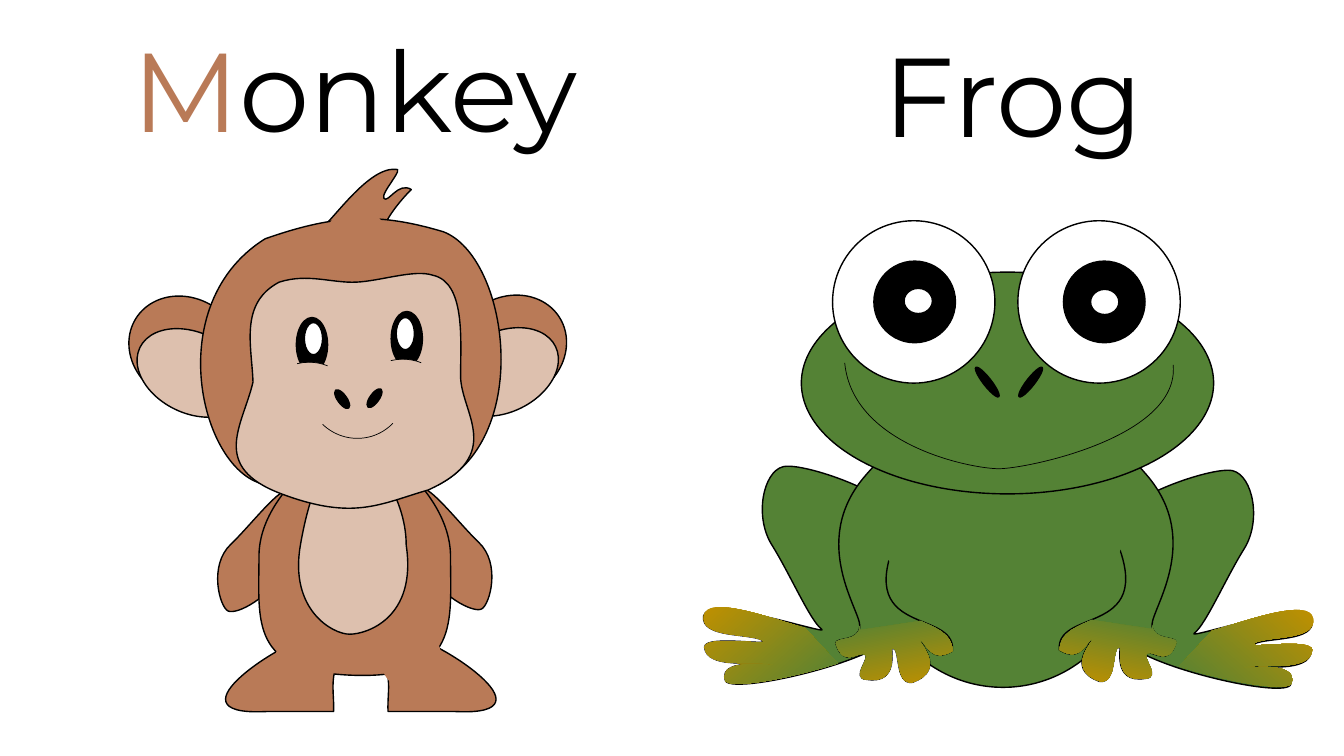
from dataclasses import dataclass

from lxml.etree import SubElement
from pptx import Presentation
from pptx.dml.color import RGBColor
from pptx.enum.shapes import MSO_SHAPE
from pptx.enum.text import MSO_ANCHOR, MSO_AUTO_SIZE, PP_ALIGN
from pptx.oxml import parse_xml
from pptx.oxml.ns import nsdecls, qn
from pptx.util import Pt

BLACK, WHITE = "000000", "FFFFFF"
FUR, SKIN = "B97A57", "DDC0AE"
GREEN, GOLD = "548235", "BF9000"
TAGS = {1: "a:lnTo", 3: "a:cubicBezTo"}


def rgb(value):
    """Turn a hex string into a colour."""
    return RGBColor.from_string(value)


def paint(shape, fill, line, angle=0):
    """Set a plain or two-colour fill and the outline width."""
    shape.shadow.inherit = False
    if isinstance(fill, tuple):
        shape.fill.gradient()
        shape.fill.gradient_angle = angle
        for stop, color, place in zip(shape.fill.gradient_stops, fill, (0, 1)):
            stop.color.rgb, stop.position = rgb(color), place
    elif fill:
        shape.fill.solid()
        shape.fill.fore_color.rgb = rgb(fill)
    else:
        shape.fill.background()
    if line:
        shape.line.color.rgb = rgb(BLACK)
        shape.line.width = Pt(line)
    else:
        shape.line.fill.background()


def bezier(a, b, c, d, steps=24):
    """Sample points along a cubic curve."""
    for t in (i / steps for i in range(1, steps + 1)):
        u = 1 - t
        yield tuple(u**3 * p + 3 * u * u * t * q + 3 * u * t * t * r + t**3 * v
                    for p, q, r, v in zip(a, b, c, d))


def expand(steps):
    """Pair up numbers; four numbers make a curve that leaves its start smoothly."""
    segments = []
    for step in steps:
        seg = list(zip(step[::2], step[1::2]))
        if len(seg) == 2:
            (hx, hy), (x, y) = segments[-1][-2:]
            seg.insert(0, (2 * x - hx, 2 * y - hy))
        segments.append(seg)
    return segments


@dataclass
class Panel:
    """A group of drawn parts, measured in points from its corner."""
    shapes: object
    left: float
    top: float

    def preset(self, kind, box, fill, line=1, rot=0):
        """Add one preset shape."""
        x, y, w, h = box
        shape = self.shapes.add_shape(kind, Pt(self.left + x), Pt(self.top + y), Pt(w), Pt(h))
        shape.rotation = rot
        paint(shape, fill, line)
        return shape

    def oval(self, box, fill, line=1, rot=0, axis=None, drop=0):
        """Add an ellipse and, given an axis, its twin moved down by drop."""
        self.preset(MSO_SHAPE.OVAL, box, fill, line, rot)
        if axis:
            x, y, w, h = box
            self.oval((2 * axis - x - w, y + drop, w, h), fill, line, -rot % 360)

    def outline(self, steps, fill, line=1, angle=0, closed=True, axis=None, drop=0):
        """Add a curved outline and, given an axis, its twin moved down by drop."""
        segments = expand(steps)
        self.trace(segments, fill, line, angle, closed)
        if axis:
            twin = [[(2 * axis - x, y + drop) for x, y in seg] for seg in segments]
            self.trace(twin, fill, line, (180 - angle) % 360, closed)

    def trace(self, segments, fill, line, angle, closed):
        """Build a freeform around the curves, then store them as true curves."""
        (start,), *edges = [[(Pt(self.left + x), Pt(self.top + y)) for x, y in seg]
                            for seg in segments]
        flat = [start]
        for edge in edges:
            flat += list(bezier(flat[-1], *edge)) if len(edge) == 3 else edge
        builder = self.shapes.build_freeform(*start, scale=1.0)
        builder.add_line_segments(flat[1:], close=closed)
        shape = builder.convert_to_shape()
        path = shape._element.find(".//" + qn("a:path"))
        for child in list(path):
            path.remove(child)
        for tag, points in [("a:moveTo", [start])] + [(TAGS[len(e)], e) for e in edges]:
            step = SubElement(path, qn(tag))
            for x, y in points:
                SubElement(step, qn("a:pt"), x=str(x - shape.left), y=str(y - shape.top))
        if closed:
            SubElement(path, qn("a:close"))
        paint(shape, fill, line, angle)


def name_animal(sp, left, top, width, height, runs):
    """Place a placeholder and write the animal's name in it."""
    sp.left, sp.top, sp.width, sp.height = Pt(left), Pt(top), Pt(width), Pt(height)
    tf = sp.text_frame
    tf.word_wrap, tf.auto_size = True, MSO_AUTO_SIZE.NONE
    tf.vertical_anchor = MSO_ANCHOR.TOP
    p = tf.paragraphs[0]
    p.alignment, p.space_before, p.line_spacing = PP_ALIGN.LEFT, Pt(0), 1.0
    p.font.name, p.font.size = "Montserrat", Pt(80)
    for text, color in runs:
        r = p.add_run()
        r.text = text
        r.font.color.rgb = rgb(color)
        r._r.get_or_add_rPr().insert(0, parse_xml(
            f'<a:ln {nsdecls("a")} w="9525"><a:solidFill><a:srgbClr val="{BLACK}"/>'
            '</a:solidFill></a:ln>'))


def draw_monkey_body(m):
    """Draw the arms, legs, torso and belly."""
    arm = [(342, 387.4), (327, 373, 307, 346, 299.5, 348.5), (288, 379, 301, 402.5),
           (338, 438, 344, 435), (358, 402.5, 342, 387.4)]
    leg = [(294.5, 456), (270.7, 464.4), (281, 484, 276.5, 494, 277.2, 508.3),
           (325.4, 508.3), (401, 512, 306, 453.6, 294.5, 456)]
    torso = [(185, 397.4), (185, 350.6, 243.4, 314, 253.4, 312.5), (321.8, 350.6, 321.8, 397.4),
             (329, 484.6, 253.4, 482.4), (185, 444.2, 185, 397.4)]
    belly = [(214.6, 389.5), (222.5, 343.4, 237, 319, 249.8, 319), (290.2, 352.8, 290.2, 389.5),
             (298, 441.4, 262, 453, 249.8, 453), (206.6, 435.6, 214.6, 389.5)]
    m.outline(arm, FUR, axis=253.45, drop=1.4)
    m.outline(leg, FUR, axis=257.75)
    m.outline(torso, FUR)
    m.outline(belly, SKIN)


def draw_monkey_head(m):
    """Draw the hair, ears, head and face."""
    hair = [(226.8, 165), (233.3, 164.2, 261.4, 119.5, 282.2, 121),
            (290.2, 118.8, 271.4, 138.2, 274.3, 141.8), (284.4, 129.6, 293.8, 135.4),
            (288.7, 140.4, 275.8, 154.8, 273, 165.6), (283.7, 199.4), (226.8, 199.4)]
    head = [(189.4, 170.6), (240.5, 152.6, 271.4, 152, 316.8, 165.6),
            (363, 183.6, 381, 311, 313.2, 346.3), (274.3, 357, 255, 368, 198, 346.3),
            (147.6, 352.8, 109.4, 220.3, 189.4, 170.6)]
    face = [(199.4, 201.6), (219.6, 195, 237, 202.3, 254.2, 201.6), (296, 192.2, 309, 196.6),
            (332.6, 201.6, 329, 242.6, 329, 268.6), (361.4, 324.7, 306, 350),
            (271.4, 360, 252.7, 372.2, 201, 352.8), (173.5, 303.8, 180.7, 273),
            (180, 247.7, 170.6, 216.7, 199.4, 201.6)]
    m.outline(hair, FUR)
    m.oval((90.7, 213, 83.5, 73.4), FUR, rot=32.2, axis=248.4, drop=-0.7)
    m.oval((95.8, 237.6, 83.5, 57.6), SKIN, rot=25.7, axis=248.4, drop=-0.7)
    m.outline(head, FUR)
    m.outline(face, SKIN)
    m.oval((211.7, 226.8, 22.3, 38.9), BLACK, axis=256.7, drop=-4.3)
    m.oval((217.4, 230.4, 13, 23), WHITE, axis=256.7, drop=-3.6)
    m.oval((241.2, 277.2, 6.5, 15.8), BLACK, rot=324.1, axis=256, drop=-0.7)


def draw_monkey(s, sp, left, top):
    """Draw the monkey and its name in the panel at left, top."""
    name_animal(sp, left + 87.1, top + 11, 357.8, 104.4, [("M", FUR), ("onkey", BLACK)])
    m = Panel(s.shapes.add_group_shape().shapes, left, top)
    draw_monkey_body(m)
    draw_monkey_head(m)
    hair_root, hip = (231, 148, 45, 50), (196.6, 446.4, 44, 50)
    m.oval(hair_root, FUR, line=0, rot=21.3)
    m.oval(hip, FUR, line=0, rot=21.3, axis=256, drop=-1.4)
    for x, y in ((252.7, 256.3), (185.8, 258.5)):
        lid = m.preset(MSO_SHAPE.ARC, (x, y, 70.6, 71.3), SKIN, line=0.5, rot=299.3)
        lid.adjustments[0], lid.adjustments[1] = 189.758, 211.298
    smile = (219.6, 242, 70.6, 71.3)
    m.preset(MSO_SHAPE.ARC, smile, None, line=0.5, rot=133.9)


def draw_frog_body(f):
    """Draw the limbs around the belly; toes and fingers shape limb and overlay alike."""
    toes = [(31, 467.3, 81.6, 477.4, 71.5, 474.5), (24.7, 478.8, 23.3, 462.2),
            (24, 453, 73.7, 462.2, 64.3, 457.2), (20.4, 455.8, 22.6, 440)]
    leg = [(71.5, 389.5), (58.6, 369.4, 65, 337, 79.4, 333.4), (161.5, 354.2, 155.8, 367.2),
           (163.7, 435, 157.2, 453), (47, 496, 38.4, 486.7),
           *toes, (114.7, 455, 106.8, 449.3), (84.5, 410.4, 71.5, 389.5)]
    foot = [(118.3, 473.8), (84.5, 484.6, 44.2, 492, 38.4, 486.7), *toes, (72, 442, 95, 448.6)]
    fingers = [(184.6, 474.5, 181, 458, 177.4, 457.2), (198.2, 478, 171.6, 487.4),
               (158.6, 489, 163.7, 461.5, 157.2, 463), (155.8, 462.2, 163, 489, 139.2, 485.3),
               (127, 484.6, 142.8, 469.4, 137.8, 467.3), (122.6, 477.4, 117, 459.4),
               (117, 455, 134.2, 458.6, 134.2, 447)]
    arm = [(136.3, 342), (174.5, 296, 205.4, 297.4, 210.5, 301.7), (171, 341.3, 168.7, 368),
           (119, 459.4, 203.3, 432, 200.4, 465), *fingers, (99, 388, 136.3, 342)]
    paw = [(177.4, 443.5), (189, 448.6, 200.4, 453, 200.4, 465), *fingers, (134.2, 450)]
    f.outline(leg, GREEN, axis=240, drop=2.9)
    f.oval((143.5, 303.8, 185.8, 187.2), GREEN)
    f.outline(arm, GREEN, axis=238.55, drop=-0.7)
    f.outline(foot, (GOLD, GREEN), line=0, angle=311, axis=240.35, drop=2)
    f.outline(paw, (GREEN, GOLD), line=0, angle=281, axis=238.7, drop=-0.7)
    shoulder = (142.8, 333.4, 46.8, 76.3)
    f.oval(shoulder, GREEN, line=0, rot=347.7, axis=233.5, drop=5.8)


def draw_frog_head(f):
    """Draw the head with eyes, nostrils and mouth."""
    head, nostril = (92.4, 194.4, 294.5, 158.4), (211.9, 270, 26.6, 5.8)
    eye, pupil, glint = (114.7, 157.7, 116, 116), (144.2, 186.5, 58.3, 58.3), (165.8, 206, 20.2, 18)
    mouth = [(358, 260.6), (363, 312.5, 253, 334.8, 233.5, 334.8), (129, 318.2, 123.4, 259.2)]
    f.oval(head, GREEN)
    f.oval(eye, WHITE, axis=238.9)
    f.oval(nostril, BLACK, rot=52, axis=240.7)
    f.outline(mouth, None, line=0.5, closed=False)
    f.oval(pupil, BLACK, axis=241.05)
    f.oval(glint, WHITE, axis=242.5, drop=0.7)


def draw_frog(s, sp, left, top):
    """Draw the frog and its name in the panel at left, top."""
    name_animal(sp, left + 143.8, top + 14.4, 226.8, 92.9, [("Frog", BLACK)])
    f = Panel(s.shapes.add_group_shape().shapes, left, top)
    draw_frog_body(f)
    draw_frog_head(f)


def main():
    """Build the slide with one animal in each half."""
    prs = Presentation()
    prs.slide_width, prs.slide_height = Pt(960), Pt(540)
    s = prs.slides.add_slide(prs.slide_layouts[0])
    draw_monkey(s, s.shapes.title, 0, 0)
    draw_frog(s, s.placeholders[1], 480, 0)
    prs.save("out.pptx")


if __name__ == "__main__":
    main()
